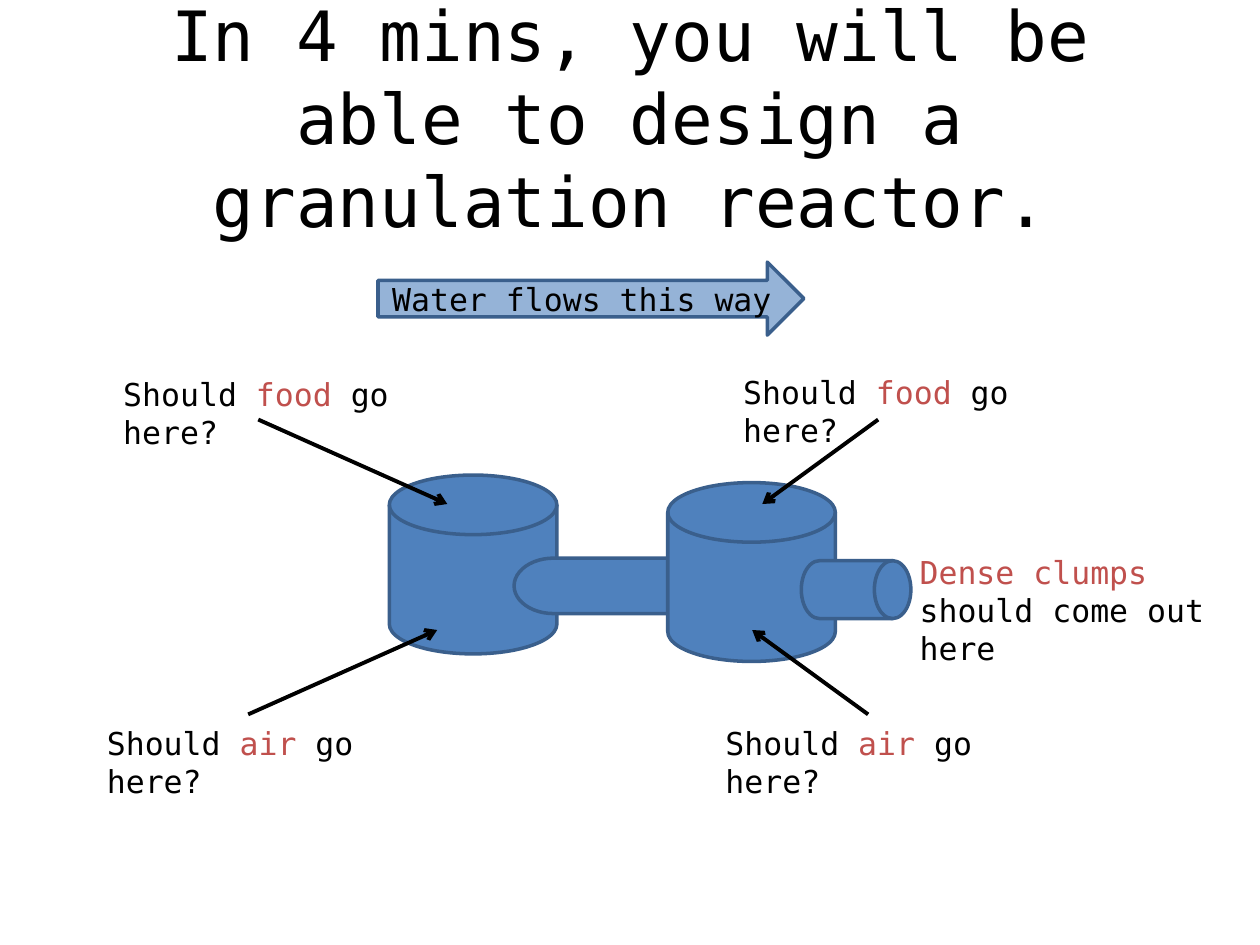
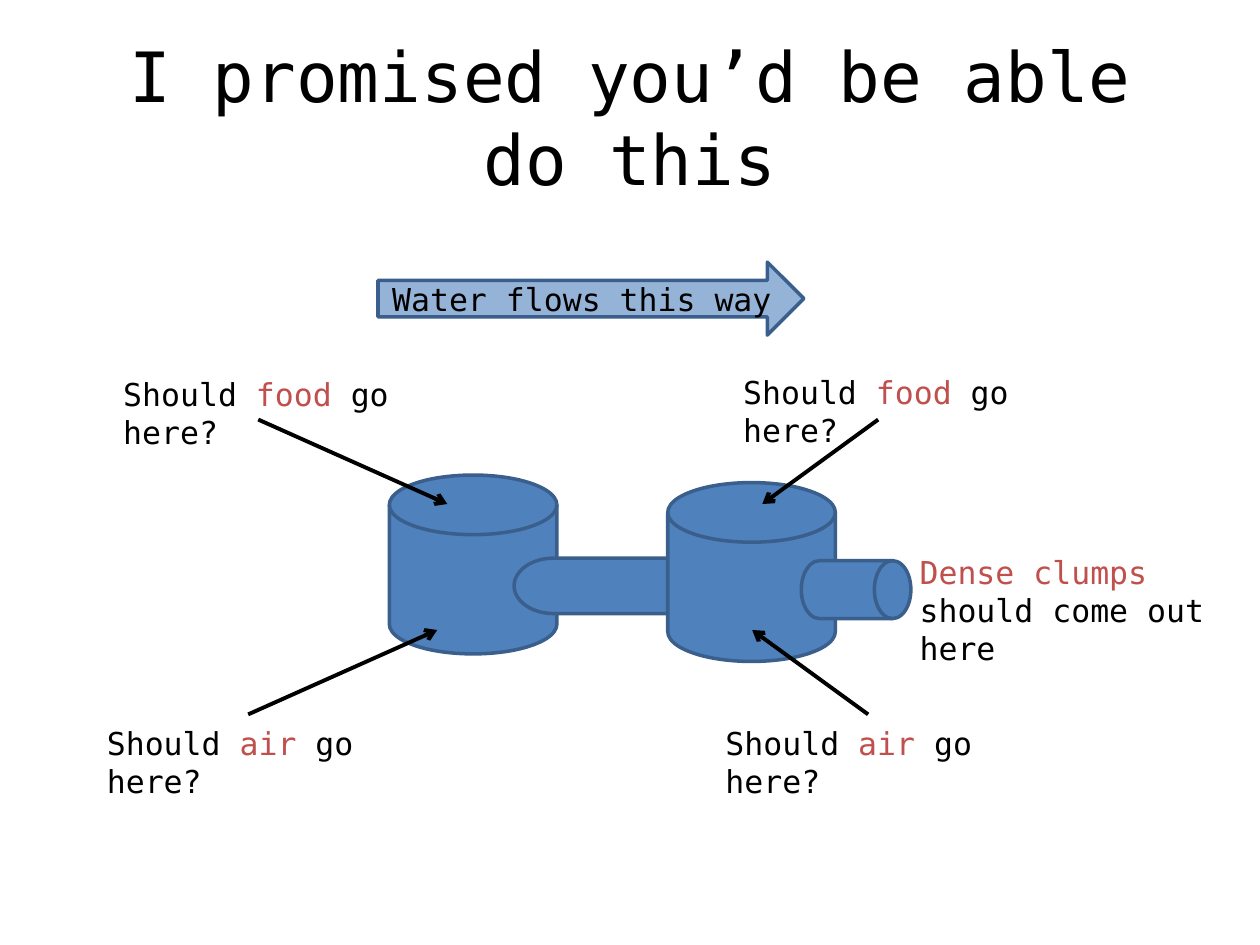
"""Build two slides that pose the same granulation reactor puzzle."""
from pptx import Presentation
from pptx.dml.color import RGBColor
from pptx.enum.shapes import MSO_CONNECTOR, MSO_SHAPE
from pptx.enum.text import MSO_ANCHOR, PP_ALIGN
from pptx.oxml.ns import qn
from pptx.util import Inches, Pt
from lxml.etree import SubElement

THEME = {
    "font": "DejaVu Sans Mono",
    "text": RGBColor.from_string("000000"),
    "accent": RGBColor.from_string("C0504D"),
    "vessel": RGBColor.from_string("4F81BD"),
    "flow": RGBColor.from_string("95B3D7"),
    "outline": RGBColor.from_string("3A5F8C"),
    "title_size": Pt(39.6),
    "body_size": Pt(18),
    "outline_width": Pt(2),
    "arrow_width": Pt(2.25),
}
CENTRED = {"anchor": MSO_ANCHOR.MIDDLE, "align": PP_ALIGN.CENTER}

TITLES = [
    "In 4 mins, you will be able to design a granulation reactor.",
    "I promised you\u2019d be able do this",
]
TITLE_BOX = (0.5, 0.3, 9, 1.25)
FLOW = [[("Water flows this way", "text")]]
FLOW_BOX = (3, 2.08, 3.38, 0.58)

TANK, PIPE, OUTLET = (1.33, 1.42), (0.44, 1.88), (0.87, 0.46)
DISK, DRUM = MSO_SHAPE.FLOWCHART_MAGNETIC_DISK, MSO_SHAPE.FLOWCHART_DIRECT_ACCESS_STORAGE
VESSELS = [
    (DISK, (3.09, 3.77, *TANK), 0),
    (DISK, (4.8, 3.71, *PIPE), 90),
    (DISK, (5.3, 3.83, *TANK), 0),
]
OUTLET_BOX = (6.36, 4.45, *OUTLET)

FOOD = [[("Should ", "text"), ("food", "accent"), (" go here?", "text")]]
AIR = [[("Should ", "text"), ("air ", "accent"), ("go here?", "text")]]
CLUMPS = [[("Dense clumps", "accent")], [("should come out here", "text")]]
FOOD_SIZE, AIR_SIZE = (2.8, 0.4), (2.56, 0.4)
QUESTIONS = [
    (FOOD, (0.88, 2.93, *FOOD_SIZE)),
    (FOOD, (5.8, 2.91, *FOOD_SIZE)),
    (AIR, (0.75, 5.7, *AIR_SIZE)),
    (AIR, (5.66, 5.7, *AIR_SIZE)),
]
CLUMPS_BOX = (7.2, 4.34, 2.88, 0.71)

FOOD_Y, AIR_Y = (3.33, 4), (5.67, 5)
POINTERS = [
    ((2.05, 3.55), FOOD_Y),
    ((6.97, 6.05), FOOD_Y),
    ((1.97, 3.47), AIR_Y),
    ((6.89, 5.97), AIR_Y),
]


def inches(values):
    """Turn plain numbers into lengths."""
    return [Inches(v) for v in values]


def apply(obj, **formats):
    """Set each named attribute of an object."""
    for name, value in formats.items():
        setattr(obj, name, value)


def write(sp, paragraphs, size="body_size", anchor=MSO_ANCHOR.TOP, align=PP_ALIGN.LEFT):
    """Fill a shape with paragraphs of (text, colour name) runs."""
    tf = sp.text_frame
    apply(tf, word_wrap=True, vertical_anchor=anchor)
    for i, runs in enumerate(paragraphs):
        p = tf.add_paragraph() if i else tf.paragraphs[0]
        p.alignment = align
        for text, colour in runs:
            r = p.add_run()
            r.text = text
            apply(r.font, name=THEME["font"], size=THEME[size])
            r.font.color.rgb = THEME[colour]


def add_text(s, paragraphs, box, **formats):
    """Add a text box."""
    write(s.shapes.add_textbox(*inches(box)), paragraphs, **formats)


def add_solid(s, kind, box, fill="vessel", rotation=0):
    """Add an outlined, filled preset shape."""
    sp = s.shapes.add_shape(kind, *inches(box))
    sp.rotation = rotation
    sp.shadow.inherit = False
    sp.fill.solid()
    sp.fill.fore_color.rgb = THEME[fill]
    sp.line.color.rgb = THEME["outline"]
    sp.line.width = THEME["outline_width"]
    return sp


def add_pointer(s, xs, ys):
    """Add a line with an open arrowhead at its end."""
    ends = inches((xs[0], ys[0], xs[1], ys[1]))
    cn = s.shapes.add_connector(MSO_CONNECTOR.STRAIGHT, *ends)
    cn.line.color.rgb = THEME["text"]
    cn.line.width = THEME["arrow_width"]
    SubElement(cn.line._get_or_add_ln(), qn("a:tailEnd"), type="arrow")
    SubElement(cn._element.spPr, qn("a:effectLst"))


def add_reactor(s):
    """Draw the reactor with its flow arrow, pointers and questions."""
    for kind, box, rotation in VESSELS:
        add_solid(s, kind, box, rotation=rotation)
    write(add_solid(s, MSO_SHAPE.RIGHT_ARROW, FLOW_BOX, "flow"), FLOW, **CENTRED)
    for xs, ys in POINTERS:
        add_pointer(s, xs, ys)
    for question, box in QUESTIONS:
        add_text(s, question, box)
    add_solid(s, DRUM, OUTLET_BOX)
    add_text(s, CLUMPS, CLUMPS_BOX)


prs = Presentation()
apply(prs, slide_width=Inches(10), slide_height=Inches(7.5))
for title in TITLES:
    s = prs.slides.add_slide(prs.slide_layouts[6])
    add_text(s, [[(title, "text")]], TITLE_BOX, size="title_size", **CENTRED)
    add_reactor(s)
prs.save("out.pptx")
